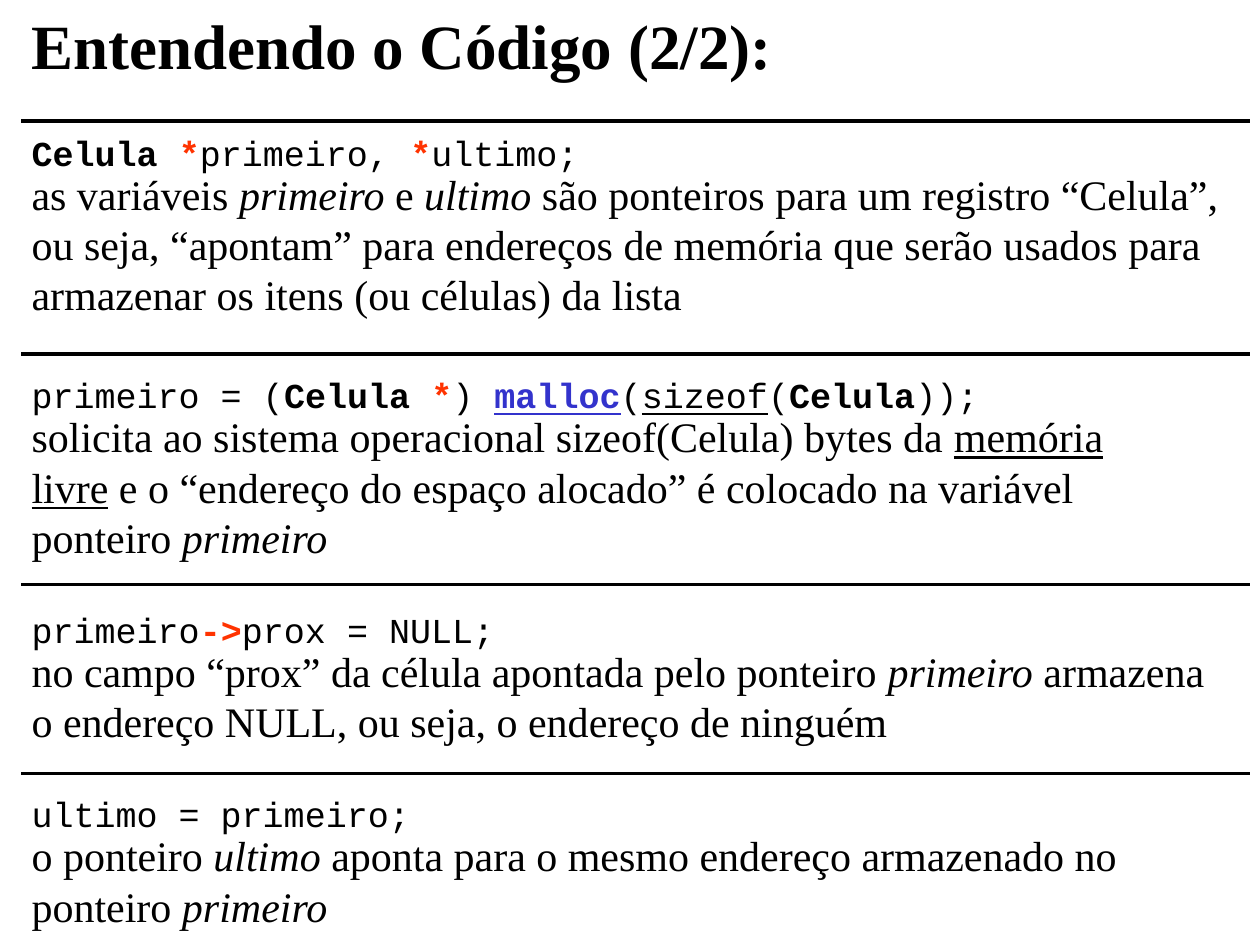
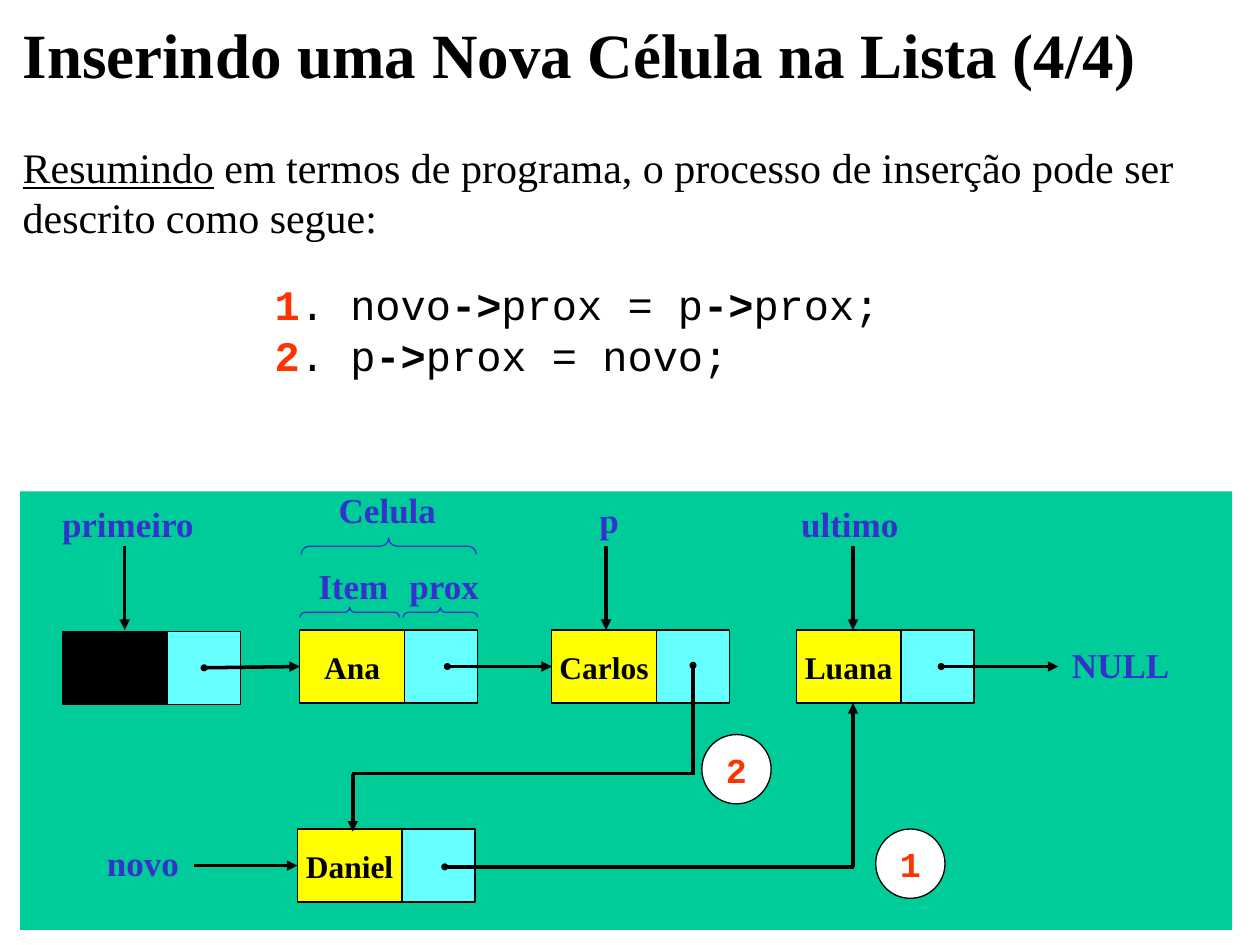
import pptx
import pptx.util
import pptx.dml.color
import pptx.enum.shapes
import pptx.enum.text
import pptx.oxml.ns
import pptx.oxml.xmlchemy
from lxml import etree

Inches, Pt = pptx.util.Inches, pptx.util.Pt
SHAPE = pptx.enum.shapes.MSO_SHAPE
ANCHOR = pptx.enum.text.MSO_ANCHOR
CENTER = pptx.enum.text.PP_ALIGN.CENTER

SERIF, MONO = "Times New Roman", "Courier New"
COLORS = {
    "black": "000000", "white": "FFFFFF", "red": "FF3300", "blue": "3333CC",
    "board": "00CC99", "item": "FFFF00", "prox": "66FFFF",
}
CELL_H, ITEM_W, PROX_W = 0.58, 0.83, 0.58
LINE_24 = 28.8  # line height of 24 pt text

# Each run is (text, flags): b bold, i italic, u underline, r red, v blue.
# A block is space before, code runs, explanation lines.
CODE_BLOCKS = [
    (0, [("Celula ", "b"), ("*", "br"), ("primeiro, ", ""), ("*", "br"), ("ultimo;", "")],
     [[("as variáveis ", ""), ("primeiro ", "i"), ("e ", ""), ("ultimo", "i"),
       (" são ponteiros para um registro “Celula”,", "")],
      [("ou seja, “apontam” para endereços de memória que serão usados para", "")],
      [("armazenar os itens (ou células) da lista", "")]]),
    (31, [("primeiro = (", ""), ("Celula ", "b"), ("*", "br"), (") ", ""),
          ("malloc", "buv"), ("(", ""), ("sizeof", "u"), ("(", ""),
          ("Celula", "b"), ("));", "")],
     [[("solicita ao sistema operacional sizeof(Celula) bytes da ", ""), ("memória", "u")],
      [("livre", "u"), (" e o “endereço do espaço alocado” é colocado na variável", "")],
      [("ponteiro ", ""), ("primeiro", "i")]]),
    (26.5, [("primeiro", ""), ("->", "br"), ("prox = NULL;", "")],
     [[("no campo “prox” da célula apontada pelo ponteiro ", ""), ("primeiro ", "i"),
       ("armazena", "")],
      [("o endereço NULL, ou seja, o endereço de ninguém", "")]]),
    (26.5, [("ultimo = primeiro;", "")],
     [[("o ponteiro ", ""), ("ultimo", "i"),
       (" aponta para o mesmo endereço armazenado no", "")],
      [("ponteiro ", ""), ("primeiro", "i")]]),
]
INTRO = [
    [("Resumindo", "u"), (" em termos de programa, o processo de inserção pode ser", "")],
    [("descrito como segue:", "")],
]
STEPS = [
    [("1", "br"), (". novo", ""), ("->", "b"), ("prox = p", ""), ("->", "b"), ("prox;", "")],
    [("2", "br"), (". p", ""), ("->", "b"), ("prox = novo;", "")],
]


def rgb(name):
    return pptx.dml.color.RGBColor.from_string(COLORS[name])


def set_font(font, size, face=SERIF, color="black", bold=False):
    font.size, font.name, font.bold = Pt(size), face, bold
    font.color.rgb = rgb(color)


def place(sp, x, y, w, h):
    sp.left, sp.top, sp.width, sp.height = (Inches(v) for v in (x, y, w, h))


def prepare_frame(sp, anchor=ANCHOR.TOP, wrap=True):
    tf = sp.text_frame
    tf.auto_size = pptx.enum.text.MSO_AUTO_SIZE.NONE
    tf.word_wrap, tf.vertical_anchor = wrap, anchor
    return tf


def add_titled_slide(prs, title, x, y):
    """Add a slide with its title set and return it with its body frame."""
    s = prs.slides.add_slide(prs.slide_layouts[1])
    sp = s.shapes.title
    place(sp, x, y, 9.7, 0.58)
    tf = prepare_frame(sp)
    tf.text = title
    p = tf.paragraphs[0]
    p.alignment = pptx.enum.text.PP_ALIGN.LEFT
    p.line_spacing = Pt(36)
    set_font(p.font, 36, bold=True)
    return s, prepare_frame(s.placeholders[1])


def add_rich_line(tf, runs, size, face, height, before=0, indent=0):
    """Fill the next paragraph of tf with flagged runs, without a bullet."""
    p = tf.paragraphs[0] if not tf.text else tf.add_paragraph()
    p.line_spacing, p.space_before = Pt(height), Pt(before)
    set_font(p.font, size, face)
    pPr = p._p.get_or_add_pPr()
    pPr.set("marL", str(Inches(indent)))
    pPr.set("indent", "0")
    pPr.insert_element_before(pptx.oxml.xmlchemy.OxmlElement("a:buNone"),
                              "a:tabLst", "a:defRPr", "a:extLst")
    for text, flags in runs:
        r = p.add_run()
        r.text = text
        r.font.bold, r.font.italic, r.font.underline = (f in flags for f in "biu")
        if "r" in flags or "v" in flags:
            r.font.color.rgb = rgb("red" if "r" in flags else "blue")


def add_figure(s, kind, x, y, w, h, fill, line="black"):
    sp = s.shapes.add_shape(kind, *(Inches(v) for v in (x, y, w, h)))
    sp.shadow.inherit = False
    if fill:
        sp.fill.solid()
        sp.fill.fore_color.rgb = rgb(fill)
    else:
        sp.fill.background()
    if line:
        sp.line.color.rgb = rgb(line)
        sp.line.width = Pt(0.75)
    else:
        sp.line.fill.background()
    return sp


def write_centred(sp, text, size, face=SERIF, color="black", anchor=ANCHOR.MIDDLE):
    tf = prepare_frame(sp, anchor, wrap=False)
    tf.text = text
    p = tf.paragraphs[0]
    p.alignment = CENTER
    set_font(p.font, size, face, color, bold=True)


def add_label(s, text, x, y, w):
    sp = s.shapes.add_textbox(*(Inches(v) for v in (x, y, w, 0.44)))
    write_centred(sp, text, 20, color="blue", anchor=ANCHOR.TOP)


def add_cell(s, x, y, text="", fill="item"):
    """Add an item box with its prox box and return the item box."""
    item = add_figure(s, SHAPE.RECTANGLE, x, y, ITEM_W, CELL_H, fill)
    if text:
        write_centred(item, text, 18)
    add_figure(s, SHAPE.RECTANGLE, x + ITEM_W, y, PROX_W, CELL_H, "prox")
    return item


def add_step_badge(s, text, x, y):
    sp = add_figure(s, SHAPE.OVAL, x, y, 0.55, 0.55, "white")
    write_centred(sp, text, 20, MONO, "red")


def add_brace(s, x, y, w, h):
    """Add a brace pointing up that fills the given box."""
    sp = add_figure(s, SHAPE.LEFT_BRACE, x + (w - h) / 2, y + (h - w) / 2, h, w,
                    None, "blue")
    sp.rotation = 90
    sp.adjustments[0] = 0.5


def add_line(s, x1, y1, x2, y2, dot=False, arrow=False, target=None):
    """Add a line; target is the box whose left side it joins."""
    c = s.shapes.add_connector(pptx.enum.shapes.MSO_CONNECTOR.STRAIGHT,
                               *(Inches(v) for v in (x1, y1, x2, y2)))
    if target is not None:
        c.end_connect(target, 1)
    c.line.color.rgb = rgb("black")
    c.line.width = Pt(2)
    ln = c.line._get_or_add_ln()
    qn = pptx.oxml.ns.qn
    if dot:
        etree.SubElement(ln, qn("a:headEnd"), type="oval", w="sm", len="sm")
    if arrow:
        etree.SubElement(ln, qn("a:tailEnd"), type="triangle")
    etree.SubElement(c._element.spPr, qn("a:effectLst"))


def build_code_slide(prs):
    s, tf = add_titled_slide(prs, "Entendendo o Código (2/2):", 0.15, 0.1)
    place(s.placeholders[1], 0.15, 0.99, 9.8, 6.46)
    for before, code, lines in CODE_BLOCKS:
        add_rich_line(tf, code, 20, MONO, 24, before)
        for i, runs in enumerate(lines):
            add_rich_line(tf, runs, 24, SERIF, LINE_24 if i else 26)
    for y in (0.96, 2.81, 4.64, 6.14):
        add_line(s, 0.17, y, 9.92, y)


def build_insertion_slide(prs):
    s, tf = add_titled_slide(prs, "Inserindo uma Nova Célula na Lista (4/4)", 0.08, 0.17)
    place(s.placeholders[1], 0.08, 1.07, 9.6, 1.94)
    for runs in INTRO:
        add_rich_line(tf, runs, 24, SERIF, LINE_24)
    for i, runs in enumerate(STEPS):
        add_rich_line(tf, runs, 24, MONO, LINE_24, 0 if i else 21, indent=2)

    add_figure(s, SHAPE.RECTANGLE, 0.16, 3.9, 9.62, 3.48, "board", None)
    add_cell(s, 0.5, 5.01, fill="black")
    ana = add_cell(s, 2.38, 5, "Ana")
    carlos = add_cell(s, 4.38, 5, "Carlos")
    add_cell(s, 6.32, 5, "Luana")
    daniel = add_cell(s, 2.36, 6.58, "Daniel")

    for text, x, y, w in (("primeiro", 0.39, 3.94, 1.25), ("Celula", 2.59, 3.83, 0.97),
                          ("Item", 2.31, 4.43, 0.99), ("prox", 3.15, 4.43, 0.75),
                          ("p", 4.66, 3.91, 0.35), ("ultimo", 6.26, 3.94, 0.97),
                          ("NULL", 8.41, 5.06, 0.97), ("novo", 0.75, 6.63, 0.77)):
        add_label(s, text, x, y, w)
    add_brace(s, 2.39, 4.27, 1.39, 0.13)
    add_brace(s, 2.38, 4.82, 0.79, 0.08)
    add_brace(s, 3.2, 4.82, 0.59, 0.08)

    for x in (0.99, 4.81, 6.77):
        add_line(s, x, 4.33, x, 5, arrow=True)
    add_line(s, 1.62, 5.3, 2.38, 5.3, dot=True, arrow=True, target=ana)
    add_line(s, 3.55, 5.29, 4.38, 5.29, dot=True, arrow=True, target=carlos)
    add_line(s, 7.47, 5.29, 8.4, 5.29, dot=True, arrow=True)
    add_line(s, 1.54, 6.87, 2.36, 6.87, arrow=True, target=daniel)
    # Step 1: Daniel to Luana
    add_line(s, 3.53, 6.88, 6.78, 6.88, dot=True)
    add_line(s, 6.77, 6.88, 6.77, 5.58, arrow=True)
    add_step_badge(s, "1", 6.95, 6.58)
    # Step 2: Carlos to Daniel
    add_line(s, 5.5, 5.28, 5.5, 6.15, dot=True)
    add_line(s, 5.5, 6.14, 2.79, 6.14)
    add_line(s, 2.8, 6.14, 2.8, 6.6, arrow=True)
    add_step_badge(s, "2", 5.57, 5.83)


def main():
    prs = pptx.Presentation()
    prs.slide_width, prs.slide_height = Inches(10), Inches(7.5)
    build_code_slide(prs)
    build_insertion_slide(prs)
    prs.save("out.pptx")


if __name__ == "__main__":
    main()
